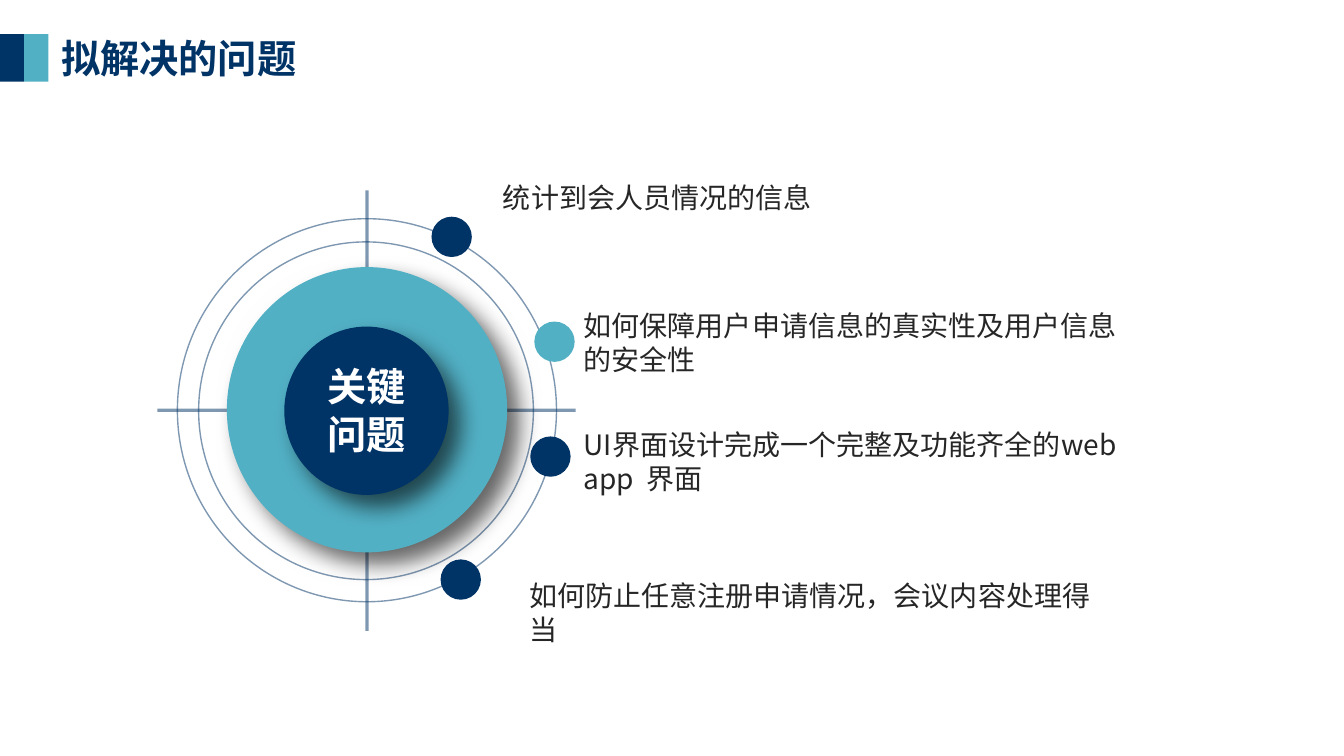
from dataclasses import dataclass

from lxml.etree import SubElement
from pptx import Presentation
from pptx.dml.color import RGBColor as RGB
from pptx.enum.shapes import MSO_CONNECTOR as Link, MSO_SHAPE as Kind
from pptx.enum.text import MSO_ANCHOR as Anchor, MSO_AUTO_SIZE as Fit, PP_ALIGN as Align
from pptx.oxml.ns import qn
from pptx.util import Emu, Pt

PX = 9144  # EMU per px, 100 px to the inch
FONT = "Noto Sans CJK SC"
HUES = {"navy": "003366", "teal": "52B0C5", "ink": "262626", "white": "FFFFFF"}


@dataclass
class Oval:
    left: int
    top: int
    width: int
    height: int
    hue: str


@dataclass
class Label:
    left: int
    top: int
    width: int
    height: int
    text: str
    size: int = 20
    hue: str = "ink"
    bold: bool = False
    align: Align = Align.LEFT
    mid: bool = False


AXES = [(156, 407, 571, 407), (364, 189, 364, 626)]
RINGS = [Oval(197, 240, 332, 335, "navy"), Oval(176, 217, 376, 380, "navy")]
DISCS = [Oval(225, 265, 278, 283, "teal"), Oval(282, 324, 163, 167, "navy")]
DOTS = [
    Oval(left, top, 40, 40, hue)
    for left, top, hue in [
        (428, 215, "navy"), (530, 319, "teal"), (526, 433, "navy"), (437, 555, "navy")
    ]
]
LABELS = [
    Label(298, 355, 131, 104, "关键问题", 28, "white", True, Align.CENTER),
    Label(51, 29, 360, 57, "拟解决的问题", 28, "navy", True),
    Label(489, 174, 569, 44, "统计到会人员情况的信息"),
    Label(571, 302, 545, 75, "如何保障用户申请信息的真实性及用户信息的安全性", mid=True),
    Label(571, 420, 598, 75, "UI界面设计完成一个完整及功能齐全的web app  界面", mid=True),
    Label(515, 569, 588, 77, "如何防止任意注册申请情况，会议内容处理得当"),
]


def px(*sizes: int) -> list[Emu]:
    return [Emu(size * PX) for size in sizes]


def color(hue: str) -> RGB:
    return RGB.from_string(HUES[hue])


def stroke(line, width: float) -> None:
    """Half-transparent navy line."""
    line.color.rgb = color("navy")
    line.width = Pt(width)
    tint = line.fill._xPr.find(qn("a:solidFill"))[0]
    SubElement(tint, qn("a:alpha"), val="50000")


def add_axis(slide, ends: tuple[int, int, int, int]) -> None:
    axis = slide.shapes.add_connector(Link.STRAIGHT, *px(*ends))
    stroke(axis.line, 2.25)
    SubElement(axis._element.spPr, qn("a:effectLst"))


def add_block(slide, kind: Kind, box: Oval):
    shape = slide.shapes.add_shape(kind, *px(box.left, box.top, box.width, box.height))
    shape.shadow.inherit = False
    shape.fill.solid()
    shape.fill.fore_color.rgb = color(box.hue)
    shape.line.fill.background()
    return shape


def add_ring(slide, box: Oval) -> None:
    ring = add_block(slide, Kind.OVAL, box)
    ring.fill.background()
    stroke(ring.line, 1)


def add_disc(slide, box: Oval) -> None:
    disc = add_block(slide, Kind.OVAL, box)
    glow = SubElement(
        disc._element.spPr.find(qn("a:effectLst")), qn("a:outerShdw"),
        blurRad=str(Pt(16)), dist=str(Pt(12)), dir="2700000", algn="tl", rotWithShape="0",
    )
    tint = SubElement(glow, qn("a:srgbClr"), val="000000")
    SubElement(tint, qn("a:alpha"), val="60000")


def add_label(slide, label: Label) -> None:
    box = slide.shapes.add_textbox(*px(label.left, label.top, label.width, label.height))
    frame = box.text_frame
    frame.word_wrap = True
    frame.auto_size = Fit.SHAPE_TO_FIT_TEXT
    if label.mid:
        frame.vertical_anchor = Anchor.MIDDLE
        frame.margin_left, frame.margin_right = px(8, 8)
        frame.margin_top, frame.margin_bottom = px(4, 4)
    para = frame.paragraphs[0]
    para.alignment = label.align
    run = para.add_run()
    run.text = label.text
    font = run.font
    font.size, font.bold, font.name = Pt(label.size), label.bold, FONT
    font.color.rgb = color(label.hue)
    SubElement(font._element, qn("a:ea"), typeface=FONT)


def main() -> None:
    deck = Presentation()
    deck.slide_width, deck.slide_height = px(1333, 750)
    slide = deck.slides.add_slide(deck.slide_layouts[6])

    # Target: cross hairs, rings and discs
    for ends in AXES:
        add_axis(slide, ends)
    for ring in RINGS:
        add_ring(slide, ring)
    for disc in DISCS:
        add_disc(slide, disc)

    # Dots on the outer ring
    for dot in DOTS:
        add_block(slide, Kind.OVAL, dot)

    # Title bars
    for col, hue in enumerate(("navy", "teal")):
        add_block(slide, Kind.RECTANGLE, Oval(24 * col, 34, 24, 47, hue))

    # Title, centre and questions
    for label in LABELS:
        add_label(slide, label)

    deck.save("out.pptx")


if __name__ == "__main__":
    main()
